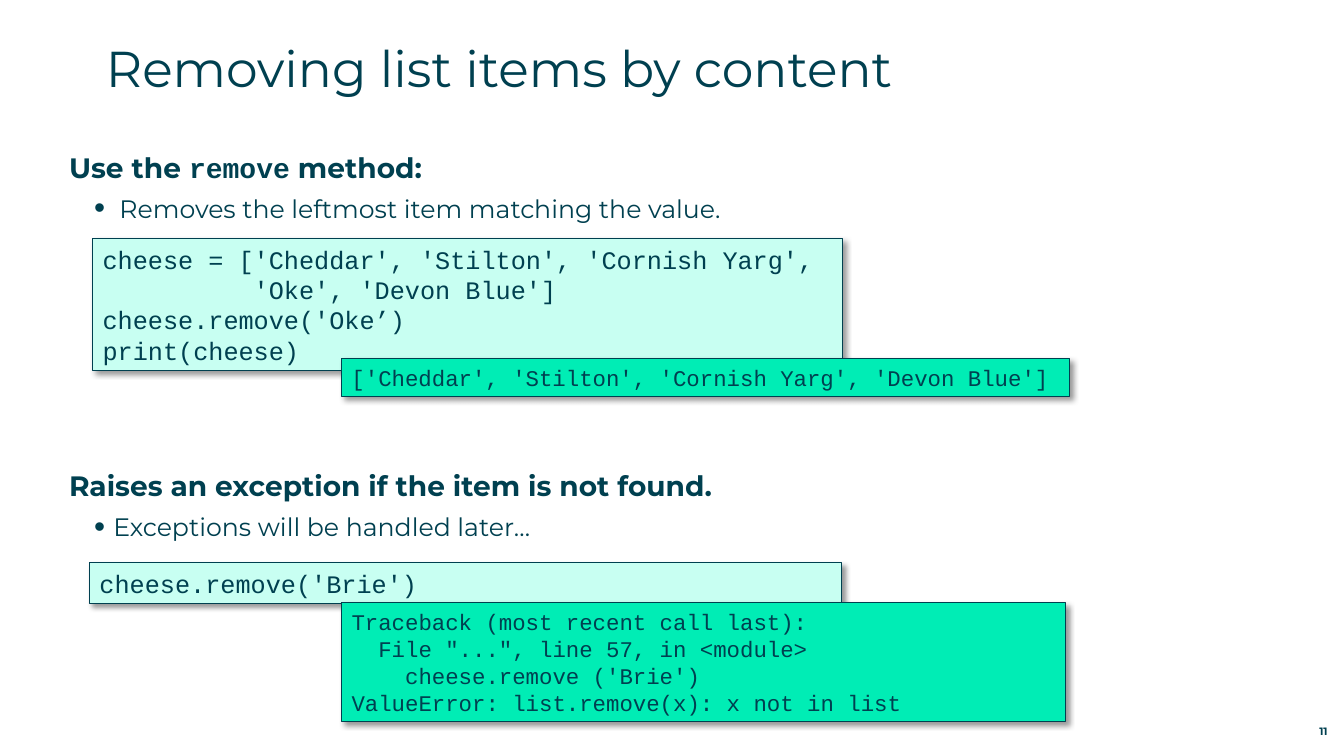
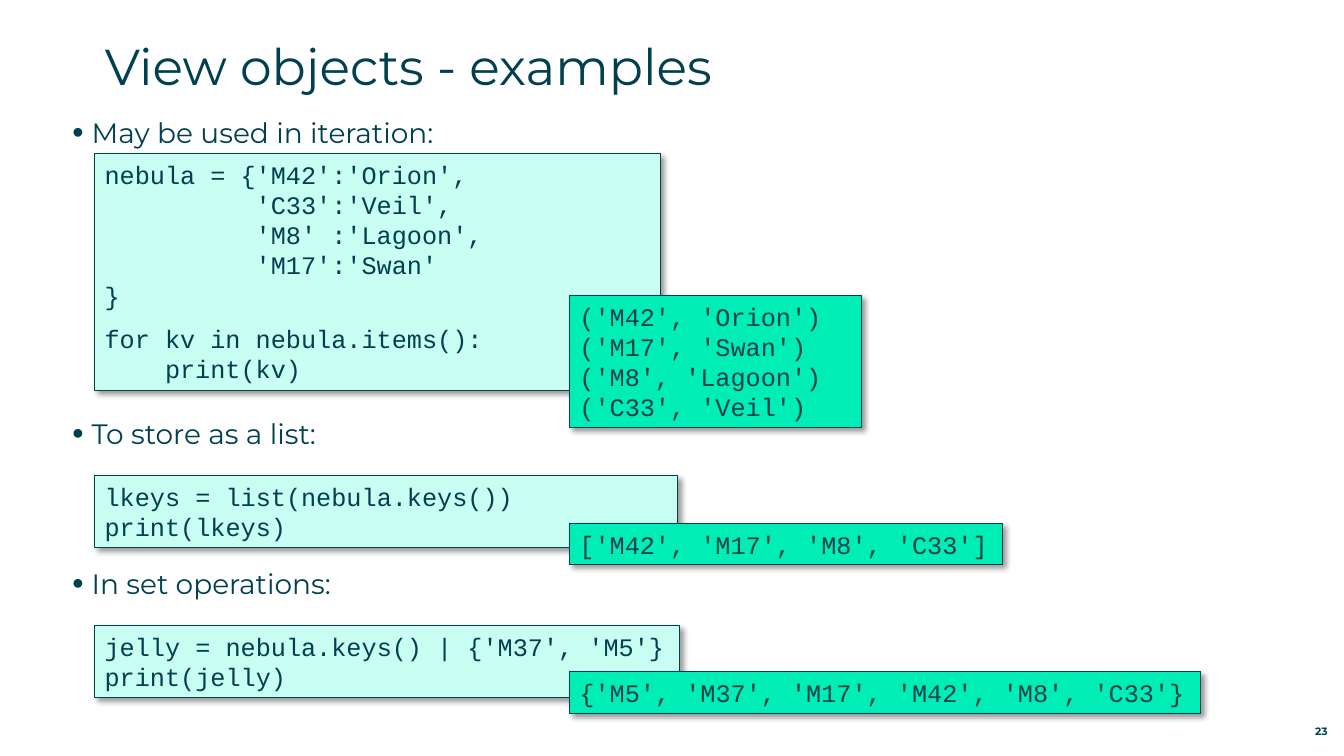
from dataclasses import dataclass

from lxml import etree
from pptx import Presentation
from pptx.dml.color import RGBColor
from pptx.enum.shapes import MSO_SHAPE
from pptx.enum.text import MSO_ANCHOR, PP_ALIGN
from pptx.oxml.ns import qn
from pptx.util import Pt

RECTANGLE = MSO_SHAPE.RECTANGLE
TOP, BOTTOM = MSO_ANCHOR.TOP, MSO_ANCHOR.BOTTOM
LEFT, RIGHT = PP_ALIGN.LEFT, PP_ALIGN.RIGHT

COLORS = {"ink": "004050", "code": "C8FFF2", "output": "00EDB5", "shadow": "000000"}
SANS, MONO = "Montserrat", "Courier New"
BODY_WIDTH = 860


@dataclass(frozen=True)
class Bullet:
    indent: float
    hang: float
    percent: int


@dataclass(frozen=True)
class Line:
    text: str
    size: float = 20
    bold: bool = False
    bullet: Bullet | None = None


@dataclass(frozen=True)
class Topic:
    top: float
    lines: tuple[Line, ...]


@dataclass(frozen=True)
class Listing:
    role: str
    left: float
    top: float
    width: float
    height: float
    source: str
    size: float = 18


@dataclass(frozen=True)
class Page:
    title: str
    title_left: float
    title_top: float
    number: int
    body_left: float
    topics: tuple[Topic, ...]
    listings: tuple[Listing, ...]


WIDE_POINT = Bullet(36, 18, 125)
NARROW_POINT = Bullet(31.7, 13.7, 125)
VIEW_POINT = Bullet(27.4, 13.7, 115)

REMOVING = Page(
    "Removing list items by content", 75.6, 26.6, 11, 49.3,
    (
        Topic(107.3, (
            Line("Use the `remove` method:", bold=True),
            Line("Removes the leftmost item matching the value.", 18, bullet=WIDE_POINT),
        )),
        Topic(334.5, (
            Line("Raises an exception if the item is not found.", bold=True),
            Line("Exceptions will be handled later…", 18, bullet=NARROW_POINT),
        )),
    ),
    (
        Listing("code", 66.2, 170.4, 535.7, 94.6, """cheese = ['Cheddar', 'Stilton', 'Cornish Yarg',
          'Oke', 'Devon Blue']
cheese.remove('Oke’)
print(cheese)"""),
        Listing("code", 64, 401.6, 537, 29.8, "cheese.remove('Brie')"),
        Listing("output", 244, 256.2, 520, 27,
                "['Cheddar', 'Stilton', 'Cornish Yarg', 'Devon Blue']", 16),
        Listing("output", 244, 430.4, 517, 85, """Traceback (most recent call last):
  File "...", line 57, in <module>
    cheese.remove ('Brie')
ValueError: list.remove(x): x not in list""", 16),
    ),
)

VIEWS = Page(
    "View objects - examples", 74.9, 25.2, 23, 38,
    tuple(
        Topic(top, (Line(text, bullet=VIEW_POINT),))
        for top, text in (
            (82.4, "May be used in iteration:"),
            (297.4, "To store as a list:"),
            (405, "In set operations:"),
        )
    ),
    (
        Listing("code", 67.6, 109.5, 404, 169.6, """nebula = {'M42':'Orion',
          'C33':'Veil',
          'M8' :'Lagoon',
          'M17':'Swan'
}

for kv in nebula.items():
    print(kv)"""),
        Listing("output", 406.8, 211, 208.8, 94.4, """('M42', 'Orion')
('M17', 'Swan')
('M8', 'Lagoon')
('C33', 'Veil')"""),
        Listing("code", 67.6, 339.6, 416.6, 51.4, """lkeys = list(nebula.keys())
print(lkeys)"""),
        Listing("code", 67.6, 447, 417.8, 51.4, """jelly = nebula.keys() | {'M37', 'M5'}
print(jelly)"""),
        Listing("output", 406.8, 373.8, 309.2, 29.6, "['M42', 'M17', 'M8', 'C33']"),
        Listing("output", 406.8, 479.6, 450.4, 29.8,
                "{'M5', 'M37', 'M17', 'M42', 'M8', 'C33'}"),
    ),
)


def color(key: str) -> RGBColor:
    return RGBColor.from_string(COLORS[key])


def write(paragraph, text: str, *, size: float, font: str = SANS, bold: bool = False,
          align=LEFT, before: float = 0, after: float = 0) -> None:
    paragraph.alignment = align
    paragraph.space_before, paragraph.space_after = Pt(before), Pt(after)
    pieces = text.split("`")
    for index, piece in enumerate(pieces):
        run = paragraph.add_run()
        run.text = piece
        run.font.size = Pt(size)
        run.font.bold = bold
        run.font.name = MONO if index % 2 else font
        run.font.color.rgb = color("ink")


def set_bullet(paragraph, bullet: Bullet) -> None:
    properties = paragraph._p.get_or_add_pPr()
    properties.set("marL", str(Pt(bullet.indent)))
    properties.set("indent", str(-Pt(bullet.hang)))
    etree.SubElement(properties, qn("a:buSzPct"), val=str(bullet.percent * 1000))
    etree.SubElement(properties, qn("a:buFont"), typeface="Arial")
    etree.SubElement(properties, qn("a:buChar"), char="•")


def add_frame(slide, left: float, top: float, width: float, height: float, anchor=TOP):
    frame = slide.shapes.add_textbox(Pt(left), Pt(top), Pt(width), Pt(height)).text_frame
    frame.word_wrap = True
    frame.vertical_anchor = anchor
    frame.margin_left = frame.margin_right = frame.margin_top = frame.margin_bottom = 0
    return frame


def next_paragraph(frame, index: int):
    return frame.add_paragraph() if index else frame.paragraphs[0]


def add_topic(slide, left: float, topic: Topic) -> None:
    frame = add_frame(slide, left, topic.top, BODY_WIDTH, 30 * len(topic.lines))
    for index, line in enumerate(topic.lines):
        paragraph = next_paragraph(frame, index)
        if line.bullet:
            set_bullet(paragraph, line.bullet)
        write(paragraph, line.text, size=line.size, bold=line.bold, after=6.5)


def add_shadow(panel) -> None:
    panel.shadow.inherit = False
    effects = panel._element.spPr.find(qn("a:effectLst"))
    shadow = etree.SubElement(
        effects, qn("a:outerShdw"), blurRad=str(Pt(4)), dist=str(Pt(3)),
        dir=str(45 * 60000), algn="tl", rotWithShape="0")
    tint = etree.SubElement(shadow, qn("a:srgbClr"), val=COLORS["shadow"])
    etree.SubElement(tint, qn("a:alpha"), val="40000")


def add_listing(slide, listing: Listing) -> None:
    panel = slide.shapes.add_shape(
        RECTANGLE, Pt(listing.left), Pt(listing.top), Pt(listing.width), Pt(listing.height))
    panel.fill.solid()
    panel.fill.fore_color.rgb = color(listing.role)
    panel.line.color.rgb = color("ink")
    panel.line.width = Pt(0.75)
    add_shadow(panel)
    frame = panel.text_frame
    frame.word_wrap = False
    frame.vertical_anchor = TOP
    frame.margin_left = frame.margin_right = Pt(7.2)
    frame.margin_top, frame.margin_bottom = Pt(4), Pt(3)
    index = 0
    for block_number, block in enumerate(listing.source.split("\n\n")):
        for row, text in enumerate(block.split("\n")):
            gap = 9.2 if block_number and row == 0 else 0
            write(next_paragraph(frame, index), text, size=listing.size, font=MONO, before=gap)
            index += 1


def add_page(deck, page: Page) -> None:
    slide = deck.slides.add_slide(deck.slide_layouts[6])
    title = add_frame(slide, page.title_left, page.title_top, BODY_WIDTH, 63.4)
    write(title.paragraphs[0], page.title, size=36)
    for topic in page.topics:
        add_topic(slide, page.body_left, topic)
    for listing in page.listings:
        add_listing(slide, listing)
    number = add_frame(slide, 886.3, 512.6, 62, 14.4, BOTTOM)
    write(number.paragraphs[0], str(page.number), size=7.6, bold=True, align=RIGHT)


def main() -> None:
    deck = Presentation()
    deck.slide_width, deck.slide_height = Pt(960), Pt(540)
    for page in (REMOVING, VIEWS):
        add_page(deck, page)
    deck.save("out.pptx")


if __name__ == "__main__":
    main()
